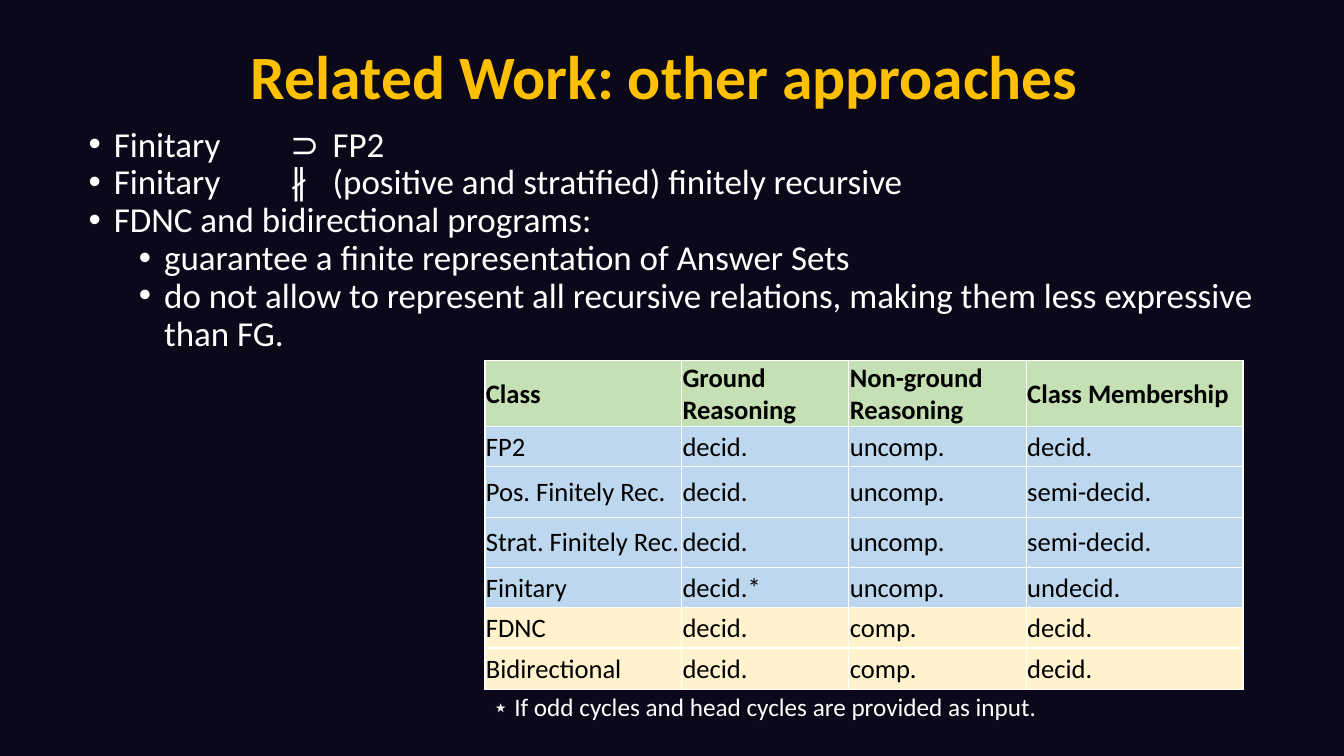
"""Build the slide "Related Work: other approaches" with its bullets, table and footnote."""
import dataclasses
import typing

import lxml.etree
import pptx
import pptx.dml.color
import pptx.enum.text
import pptx.oxml.ns
import pptx.slide
import pptx.util

Anchor = pptx.enum.text.MSO_ANCHOR
Align = pptx.enum.text.PP_ALIGN


@dataclasses.dataclass(frozen=True)
class Theme:
    font: str = "Calibri"
    background: str = "0B081A"
    accent: str = "FFC000"
    light: str = "FFFFFF"
    dark: str = "000000"
    header: str = "C5E0B4"
    blue: str = "BDD7EE"
    cream: str = "FFF2CC"
    title: int = 44
    body: int = 25
    table: int = 19
    note: int = 18
    spacing: float = 0.9


@dataclasses.dataclass(frozen=True)
class Box:
    """Position and size in percent of the slide."""
    x: float
    y: float
    w: float
    h: float


@dataclasses.dataclass(frozen=True)
class Bullet:
    text: str
    level: int = 0


@dataclasses.dataclass(frozen=True)
class Row:
    height: float
    fill: str
    cells: tuple[str, ...]
    bold: bool = False


THEME = Theme()
WIDTH, HEIGHT = pptx.util.Inches(13.33), pptx.util.Inches(7.5)
TITLE_BOX = Box(0, 0.8, 98.95, 19.33)
BODY_BOX = Box(5.85, 16.13, 88.07, 31.6)
TABLE_BOX = Box(36.08, 47.73, 56.4, 43.33)
NOTE_BOX = Box(35.93, 90.8, 42.31, 5.33)
COLUMNS = (14.63, 12.45, 13.2, 16.13)
TAB_STOPS = (2, 2.42)

BULLETS = (
    Bullet("Finitary\t⊃\tFP2"),
    Bullet("Finitary\t∦\t(positive and stratified) finitely recursive"),
    Bullet("FDNC and bidirectional programs:"),
    Bullet("guarantee a finite representation of Answer Sets", 1),
    Bullet("do not allow to represent all recursive relations, making them less "
           "expressive than FG.", 1),
)

ROWS = (
    Row(8.53, THEME.header,
        ("Class", "Ground Reasoning", "Non-ground Reasoning", "Class Membership"), True),
    Row(5.33, THEME.blue, ("FP2", "decid.", "uncomp.", "decid.")),
    Row(6.67, THEME.blue, ("Pos. Finitely Rec.", "decid.", "uncomp.", "semi-decid.")),
    Row(6.67, THEME.blue, ("Strat. Finitely Rec.", "decid.", "uncomp.", "semi-decid.")),
    Row(5.33, THEME.blue, ("Finitary", "decid.*", "uncomp.", "undecid.")),
    Row(5.33, THEME.cream, ("FDNC", "decid.", "comp.", "decid.")),
    Row(5.47, THEME.cream, ("Bidirectional", "decid.", "comp.", "decid.")),
)


def across(share: float) -> int:
    return round(WIDTH * share / 100)


def down(share: float) -> int:
    return round(HEIGHT * share / 100)


def place(box: Box) -> tuple[int, int, int, int]:
    return across(box.x), down(box.y), across(box.w), down(box.h)


def rgb(color: str) -> pptx.dml.color.RGBColor:
    return pptx.dml.color.RGBColor.from_string(color)


def add_xml(parent: typing.Any, tag: str, **attributes: typing.Any) -> typing.Any:
    values = {name: str(value) for name, value in attributes.items()}
    return lxml.etree.SubElement(parent, pptx.oxml.ns.qn(tag), values)


def write(p: typing.Any, text: str, *, size: int, color: str, bold: bool = False,
          align: Align | None = None, spacing: float | None = None) -> None:
    p.alignment, p.line_spacing = align, spacing
    r = p.add_run()
    r.text = text
    r.font.name, r.font.size, r.font.bold = THEME.font, pptx.util.Pt(size), bold
    r.font.color.rgb = rgb(color)


def add_title(s: pptx.slide.Slide, text: str) -> None:
    sp = s.shapes.title
    sp.left, sp.top, sp.width, sp.height = place(TITLE_BOX)
    tf = sp.text_frame
    tf.vertical_anchor = Anchor.MIDDLE
    write(tf.paragraphs[0], text, size=THEME.title, color=THEME.accent, bold=True,
          align=Align.CENTER, spacing=THEME.spacing)


def add_bullets(s: pptx.slide.Slide, bullets: tuple[Bullet, ...]) -> None:
    tf = s.shapes.add_textbox(*place(BODY_BOX)).text_frame
    tf.word_wrap = True
    for i, bullet in enumerate(bullets):
        p = tf.add_paragraph() if i else tf.paragraphs[0]
        p.level = bullet.level
        write(p, bullet.text, size=THEME.body, color=THEME.light, spacing=THEME.spacing)
        properties = p._p.get_or_add_pPr()
        properties.set("marL", str(pptx.util.Inches(0.25 + 0.5 * bullet.level)))
        properties.set("indent", str(pptx.util.Inches(-0.25)))
        add_xml(properties, "a:buFont", typeface="Arial")
        add_xml(properties, "a:buChar", char="•")
        if "\t" in bullet.text:
            tabs = add_xml(properties, "a:tabLst")
            for stop in TAB_STOPS:
                add_xml(tabs, "a:tab", pos=pptx.util.Inches(stop), algn="l")


def add_cell(cell: typing.Any, text: str, row: Row) -> None:
    cell.margin_left = cell.margin_right = cell.margin_top = pptx.util.Inches(0.01)
    cell.margin_bottom = 0
    cell.vertical_anchor = Anchor.MIDDLE
    write(cell.text_frame.paragraphs[0], text, size=THEME.table, color=THEME.dark,
          bold=row.bold)
    properties = cell._tc.get_or_add_tcPr()
    for side in "LRTB":
        line = add_xml(properties, f"a:ln{side}", w=pptx.util.Pt(1))
        add_xml(add_xml(line, "a:solidFill"), "a:srgbClr", val=THEME.light)
    cell.fill.solid()
    cell.fill.fore_color.rgb = rgb(row.fill)


def add_table(s: pptx.slide.Slide, rows: tuple[Row, ...]) -> None:
    table = s.shapes.add_table(len(rows), len(COLUMNS), *place(TABLE_BOX)).table
    table.first_row = table.horz_banding = False
    for column, width in zip(table.columns, COLUMNS):
        column.width = across(width)
    for table_row, row in zip(table.rows, rows):
        table_row.height = down(row.height)
        for cell, text in zip(table_row.cells, row.cells):
            add_cell(cell, text, row)


def add_note(s: pptx.slide.Slide, text: str) -> None:
    tf = s.shapes.add_textbox(*place(NOTE_BOX)).text_frame
    tf.word_wrap = False
    write(tf.paragraphs[0], text, size=THEME.note, color=THEME.light)


def main() -> None:
    prs = pptx.Presentation()
    prs.slide_width, prs.slide_height = WIDTH, HEIGHT
    s = prs.slides.add_slide(prs.slide_layouts.get_by_name("Title Only"))
    s.background.fill.solid()
    s.background.fill.fore_color.rgb = rgb(THEME.background)
    add_title(s, "Related Work: other approaches")
    add_table(s, ROWS)
    add_note(s, "⋆ If odd cycles and head cycles are provided as input.")
    add_bullets(s, BULLETS)
    prs.save("out.pptx")


main()
